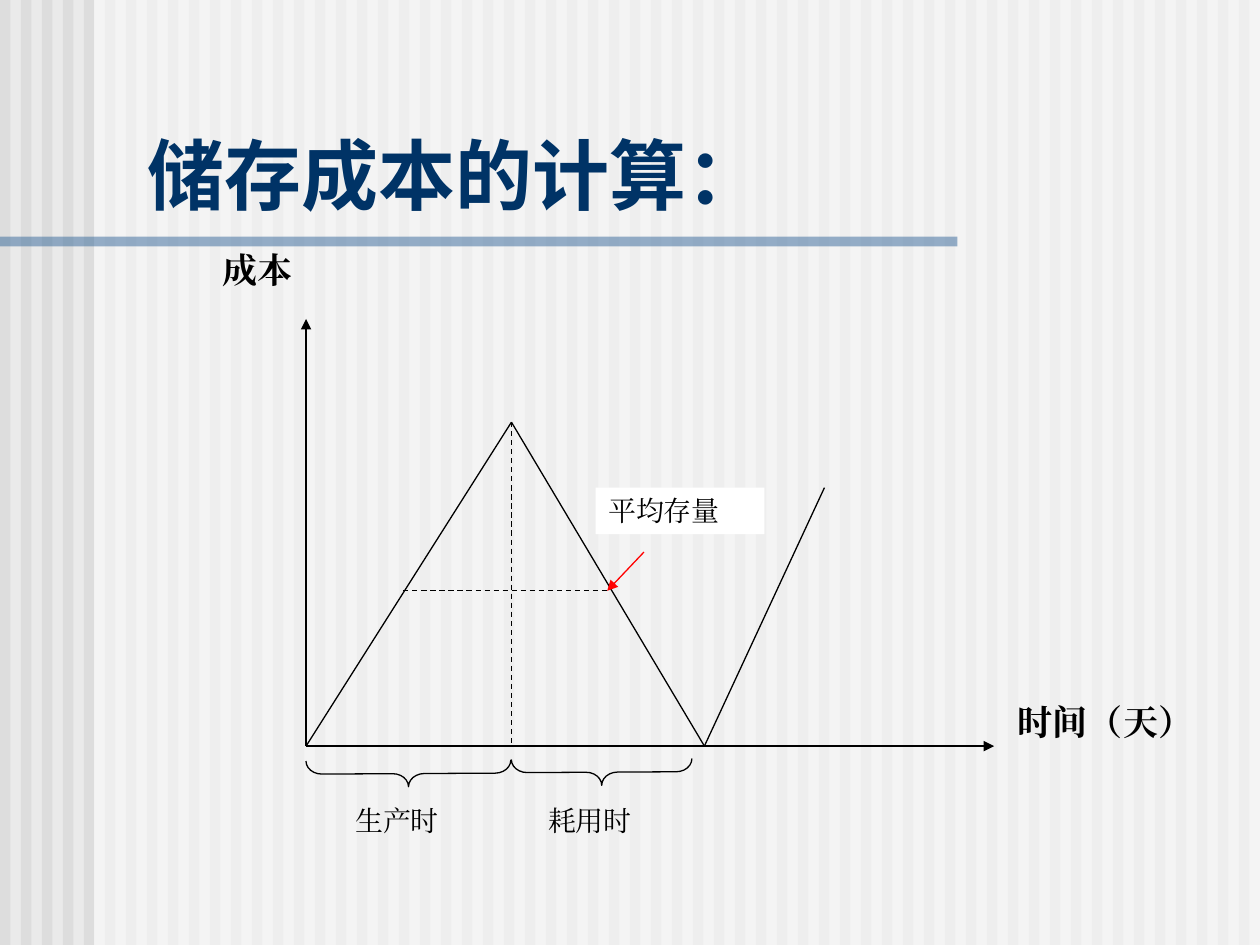
from typing import NamedTuple, Optional

from lxml.etree import SubElement
from pptx import Presentation
from pptx.dml.color import RGBColor
from pptx.enum.dml import MSO_LINE
from pptx.enum.shapes import MSO_CONNECTOR, MSO_SHAPE
from pptx.enum.text import MSO_ANCHOR, MSO_AUTO_SIZE, PP_ALIGN
from pptx.oxml.ns import qn
from pptx.util import Cm, Pt

BACKGROUND = RGBColor(0xEA, 0xEA, 0xEA)
STRIPE = RGBColor(0xDD, 0xDD, 0xDD)
WHITE = RGBColor(0xFF, 0xFF, 0xFF)
RULE_BLUE = RGBColor(0x33, 0x66, 0x99)
TITLE_BLUE = RGBColor(0x00, 0x33, 0x66)
BLACK = RGBColor(0x00, 0x00, 0x00)
RED = RGBColor(0xFF, 0x00, 0x00)

SLIDE_WIDTH, SLIDE_HEIGHT = 25.4, 19.05
STRIPE_COUNT = 60


class Point(NamedTuple):
    x: float
    y: float


class Segment(NamedTuple):
    start: Point
    end: Point
    color: RGBColor = BLACK
    dashed: bool = False
    arrow: bool = False


class Label(NamedTuple):
    text: str
    left: float
    top: float
    width: float
    height: float
    size: int = 16
    bold: bool = False
    fill: Optional[RGBColor] = None


class Brace(NamedTuple):
    """A downward brace under a stretch of the time axis."""
    left: float
    right: float
    top: float
    depth: float = 0.53


ORIGIN = Point(6.17, 15.04)
PEAK = Point(10.31, 8.51)
CYCLE_END = Point(14.2, ORIGIN.y)
AVERAGE_LEFT = Point(8.13, 11.91)
AVERAGE_RIGHT = Point(12.24, AVERAGE_LEFT.y)

SEGMENTS = [
    Segment(ORIGIN, Point(ORIGIN.x, 6.43), arrow=True),
    Segment(ORIGIN, Point(20.04, ORIGIN.y), arrow=True),
    Segment(ORIGIN, PEAK),
    Segment(PEAK, CYCLE_END),
    Segment(CYCLE_END, Point(16.62, 9.83)),
    Segment(PEAK, Point(PEAK.x, ORIGIN.y), dashed=True),
    Segment(AVERAGE_LEFT, AVERAGE_RIGHT, dashed=True),
    Segment(Point(12.98, 11.13), AVERAGE_RIGHT, color=RED, arrow=True),
]

BRACES = [
    Brace(6.17, 10.3, 15.33),
    Brace(10.31, 13.95, 15.3),
]

LABELS = [
    Label("时间（天）", 20.27, 14.0, 4.06, 1.12, size=20, bold=True),
    Label("成本", 4.24, 4.88, 4.06, 1.12, size=20, bold=True),
    Label("生产时", 6.91, 16.08, 2.67, 0.94),
    Label("耗用时", 10.8, 16.08, 2.67, 0.94),
    Label("平均存量", 12.01, 9.83, 3.4, 0.94, fill=WHITE),
]


def write_text(frame, text: str, *, size: int, font: str = "Times New Roman",
               color: RGBColor = BLACK, bold: bool = False,
               anchor: MSO_ANCHOR = MSO_ANCHOR.TOP) -> None:
    frame.word_wrap = True
    frame.auto_size = MSO_AUTO_SIZE.NONE
    frame.vertical_anchor = anchor
    paragraph = frame.paragraphs[0]
    paragraph.alignment = PP_ALIGN.LEFT
    run = paragraph.add_run()
    run.text = text
    run.font.size = Pt(size)
    run.font.bold = bold
    run.font.color.rgb = color
    run.font.name = font
    SubElement(run.font._element, qn("a:ea"), typeface=font)


def add_block(shapes, left: float, top: float, width: float, height: float,
              color: RGBColor, opacity: int = 100) -> None:
    """Add a borderless rectangle; opacity is in percent."""
    block = shapes.add_shape(MSO_SHAPE.RECTANGLE, Cm(left), Cm(top),
                             Cm(width), Cm(height))
    block.shadow.inherit = False
    block.line.fill.background()
    block.fill.solid()
    block.fill.fore_color.rgb = color
    if opacity < 100:
        rgb = block._element.spPr.find(f".//{qn('a:srgbClr')}")
        SubElement(rgb, qn("a:alpha"), val=str(opacity * 1000))


def add_backdrop(shapes) -> None:
    pitch = SLIDE_WIDTH / STRIPE_COUNT
    for index in range(STRIPE_COUNT):
        add_block(shapes, index * pitch, 0, pitch / 2, SLIDE_HEIGHT, STRIPE)
    margin = 1.9
    add_block(shapes, margin, 0, SLIDE_WIDTH - margin, SLIDE_HEIGHT, WHITE, 50)
    add_block(shapes, 0, 4.77, 19.3, 0.2, RULE_BLUE, 50)


def add_segment(shapes, segment: Segment) -> None:
    connector = shapes.add_connector(
        MSO_CONNECTOR.STRAIGHT, Cm(segment.start.x), Cm(segment.start.y),
        Cm(segment.end.x), Cm(segment.end.y))
    connector.line.color.rgb = segment.color
    connector.line.width = Pt(0.75)
    if segment.dashed:
        connector.line.dash_style = MSO_LINE.DASH
    properties = connector._element.spPr
    if segment.arrow:
        SubElement(properties.find(qn("a:ln")), qn("a:tailEnd"), type="triangle")
    SubElement(properties, qn("a:effectLst"))


def add_brace(shapes, brace: Brace) -> None:
    length = brace.right - brace.left
    center = Point((brace.left + brace.right) / 2, brace.top + brace.depth / 2)
    outline = shapes.add_shape(
        MSO_SHAPE.LEFT_BRACE, Cm(center.x - brace.depth / 2),
        Cm(center.y - length / 2), Cm(brace.depth), Cm(length))
    outline.rotation = 269.7
    outline.adjustments[0] = 0.6
    outline.shadow.inherit = False
    outline.fill.background()
    outline.line.color.rgb = BLACK
    outline.line.width = Pt(0.75)


def add_label(shapes, label: Label) -> None:
    box = shapes.add_textbox(Cm(label.left), Cm(label.top),
                             Cm(label.width), Cm(label.height))
    if label.fill is not None:
        box.fill.solid()
        box.fill.fore_color.rgb = label.fill
    write_text(box.text_frame, label.text, size=label.size, bold=label.bold)


def place_title(shapes) -> None:
    title = shapes.title
    shapes._spTree.append(title._element)  # in front of the backdrop
    title.left, title.top = Cm(2.72), Cm(2.34)
    title.width, title.height = Cm(22.68), Cm(2.1)
    title.text_frame.margin_top = title.text_frame.margin_bottom = 0
    write_text(title.text_frame, "储存成本的计算：", size=44, font="DejaVu Sans",
               color=TITLE_BLUE, bold=True, anchor=MSO_ANCHOR.BOTTOM)


def main() -> None:
    presentation = Presentation()
    presentation.slide_width = Cm(SLIDE_WIDTH)
    presentation.slide_height = Cm(SLIDE_HEIGHT)
    slide = presentation.slides.add_slide(presentation.slide_layouts[5])
    slide.background.fill.solid()
    slide.background.fill.fore_color.rgb = BACKGROUND

    add_backdrop(slide.shapes)
    place_title(slide.shapes)
    for segment in SEGMENTS:
        add_segment(slide.shapes, segment)
    for brace in BRACES:
        add_brace(slide.shapes, brace)
    for label in LABELS:
        add_label(slide.shapes, label)
    presentation.save("out.pptx")


if __name__ == "__main__":
    main()
